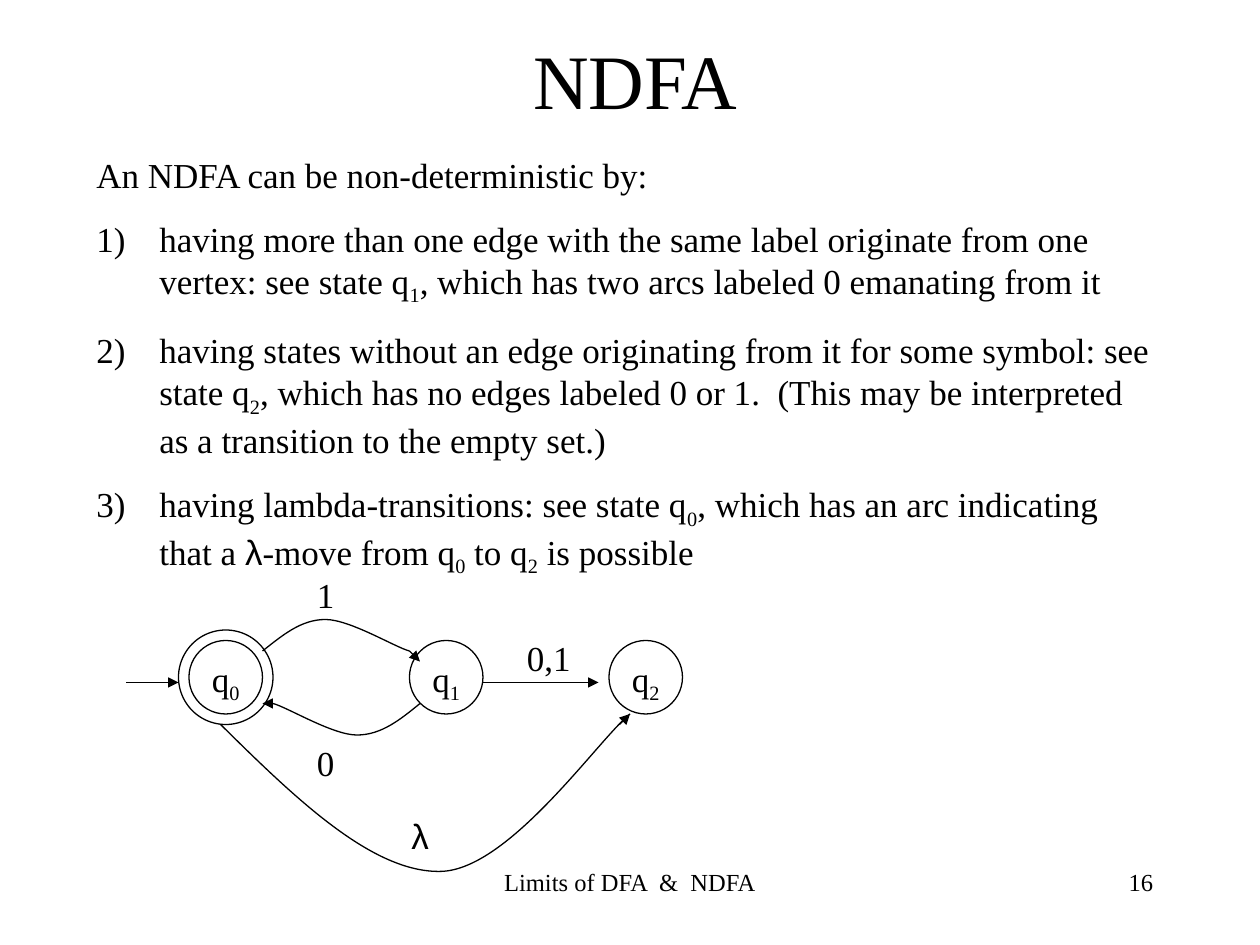
from lxml import etree
from pptx import Presentation
from pptx.dml.color import RGBColor
from pptx.enum.shapes import MSO_CONNECTOR, MSO_SHAPE
from pptx.enum.text import MSO_ANCHOR, MSO_AUTO_SIZE, PP_ALIGN
from pptx.oxml.ns import qn
from pptx.util import Pt

BLACK = RGBColor(0, 0, 0)
WHITE = RGBColor(255, 255, 255)
SERIF, SANS = "Times New Roman", "Arial"
LEFT, MID, RIGHT = PP_ALIGN.LEFT, PP_ALIGN.CENTER, PP_ALIGN.RIGHT
CENTER = MSO_ANCHOR.MIDDLE
GROW = MSO_AUTO_SIZE.SHAPE_TO_FIT_TEXT
OVAL, STRAIGHT = MSO_SHAPE.OVAL, MSO_CONNECTOR.STRAIGHT

INTRO = ["An NDFA can be non-deterministic by:"]
ITEMS = [
    ["having more than one edge with the same label originate from one vertex: see state q",
     "_1", ", which has two arcs labeled 0 emanating from it"],
    ["having states without an edge originating from it for some symbol: see state q",
     "_2", ", which has no edges labeled 0 or 1.  (This may be interpreted as a "
     "transition to the empty set.)"],
    ["having lambda-transitions: see state q", "_0", ", which has an arc indicating that a ",
     "λ", "-move from q", "_0", " to q", "_2", " is possible"],
]

# Diagram places are in points from the diagram's left top corner.
STATES = [(36, 42, 42), (30, 36, 54), (162, 42, 42), (276, 42, 42)]
LABELS = [
    (42, 48, 36, ["q", "_0"]), (168, 48, 36, ["q", "_1"]), (282, 48, 42, ["q", "_2"]),
    (102, 0, 24, ["1"]), (222, 36, 54, ["0,1"]), (102, 96, 30, ["0"]), (156, 138, 42, ["λ"]),
]
ARROWS = [
    (0, 66, 30, 66), (204, 66, 270, 66), (162, 48, 168, 54),
    (84, 78, 78, 78), (282, 90, 288, 84),
]
# Each curve is a start point and two Bezier pieces of three points.
CURVES = [
    [(78, 48), (89.5, 39), (100, 30), (114, 30), (128, 30), (154, 46), (162, 48)],
    [(168, 78), (157, 87), (146, 96), (132, 96), (118, 96), (92, 80), (84, 78)],
    [(54, 90), (97, 132.5), (141, 175), (180, 174), (219, 173), (270, 98.5), (288, 84)],
]


def add_runs(para, parts, size):
    """Add one run per part; a part that starts with _ is a subscript."""
    for part in parts:
        run = para.add_run()
        run.text = part.lstrip("_")
        run.font.size = Pt(size)
        run.font.name = SANS if part == "λ" else SERIF
        run.font.color.rgb = BLACK
        if part.startswith("_"):
            run.font._element.set("baseline", "-25000")


def add_box(slide, box, parts, size=20, align=LEFT):
    frame = slide.shapes.add_textbox(*map(Pt, box)).text_frame
    frame.word_wrap = True
    para = frame.paragraphs[0]
    para.alignment = align
    add_runs(para, parts, size)
    return frame


def add_title(slide, box, text):
    title = slide.shapes.title
    title.left, title.top, title.width, title.height = map(Pt, box)
    frame = title.text_frame
    frame.vertical_anchor = CENTER
    para = frame.paragraphs[0]
    para.alignment = MID
    add_runs(para, [text], 44)


def set_indent(para, number):
    props = para._p.get_or_add_pPr()
    props.set("marL", str(Pt(36)))
    props.set("indent", str(-Pt(36)))
    para.space_before = Pt(12.5)
    if number:
        font = etree.SubElement(props, qn("a:buFont"))
        font.set("typeface", SERIF)
        mark = etree.SubElement(props, qn("a:buAutoNum"))
        mark.set("type", "arabicParenR")


def add_body(slide, box):
    frame = add_box(slide, box, INTRO)
    frame.auto_size = GROW
    set_indent(frame.paragraphs[0], False)
    for parts in ITEMS:
        para = frame.add_paragraph()
        set_indent(para, True)
        add_runs(para, parts, 20)


def set_line(shape):
    shape.line.color.rgb = BLACK
    shape.line.width = Pt(0.75)


def add_state(slide, x, y, size):
    oval = slide.shapes.add_shape(OVAL, Pt(x), Pt(y), Pt(size), Pt(size))
    oval.shadow.inherit = False
    oval.fill.background()
    set_line(oval)


def add_arrow(slide, x1, y1, x2, y2):
    arrow = slide.shapes.add_connector(STRAIGHT, Pt(x1), Pt(y1), Pt(x2), Pt(y2))
    set_line(arrow)
    head = etree.SubElement(arrow.line._get_or_add_ln(), qn("a:tailEnd"))
    head.set("type", "triangle")
    etree.SubElement(arrow._element.spPr, qn("a:effectLst"))


def add_curve(slide, left, top, points):
    """Draw the points as a freeform, each three segments made one Bezier."""
    dots = [(Pt(left + x), Pt(top + y)) for x, y in points]
    pen = slide.shapes.build_freeform(*dots[0])
    pen.add_line_segments(dots[1:], close=False)
    curve = pen.convert_to_shape()
    curve.shadow.inherit = False
    curve.fill.background()
    set_line(curve)
    lines = list(curve._element.iter(qn("a:lnTo")))
    for i in range(0, len(lines), 3):
        first, *rest = lines[i:i + 3]
        first.tag = qn("a:cubicBezTo")
        for line in rest:
            first.append(line[0])
            line.getparent().remove(line)


def add_graph(slide, left, top):
    for x, y, size in STATES:
        add_state(slide, left + x, top + y, size)
    for points in CURVES:
        add_curve(slide, left, top, points)
    for x1, y1, x2, y2 in ARROWS:
        add_arrow(slide, left + x1, top + y1, left + x2, top + y2)
    for x, y, width, parts in LABELS:
        high = 34.5 if len(parts) > 1 else 31.5
        frame = add_box(slide, (left + x, top + y, width, high), parts)
        frame.auto_size = GROW


def add_footer(slide, top):
    add_box(slide, (246, top, 228, 36), ["Limits of DFA  &  NDFA"], 14, MID)
    add_box(slide, (516, top, 150, 36), ["16"], 14, RIGHT)


def main():
    deck = Presentation()
    deck.slide_width, deck.slide_height = Pt(720), Pt(540)
    slide = deck.slides.add_slide(deck.slide_layouts[5])
    slide.background.fill.solid()
    slide.background.fill.fore_color.rgb = WHITE
    add_title(slide, (30, 0, 666, 90), "NDFA")
    add_graph(slide, 72, 324)
    add_body(slide, (48, 84, 618, 250))
    add_footer(slide, 492)
    deck.save("out.pptx")


if __name__ == "__main__":
    main()
